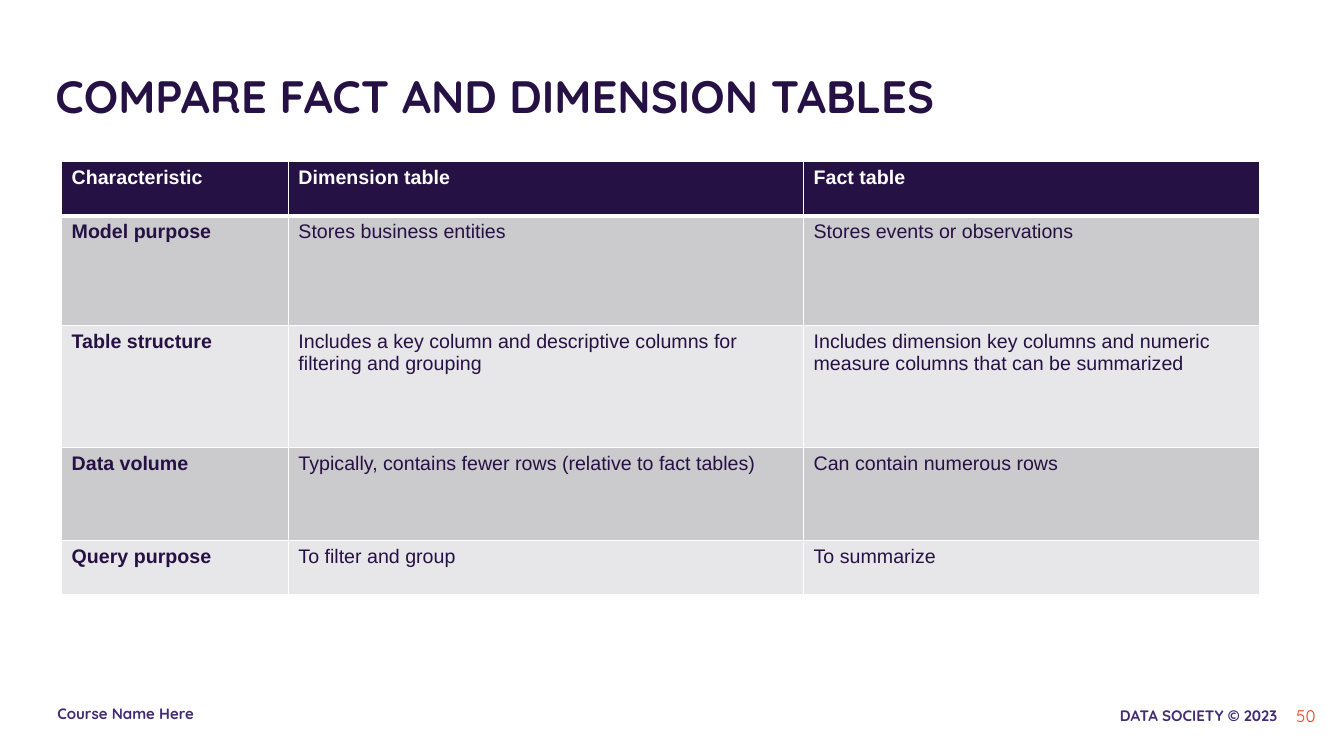
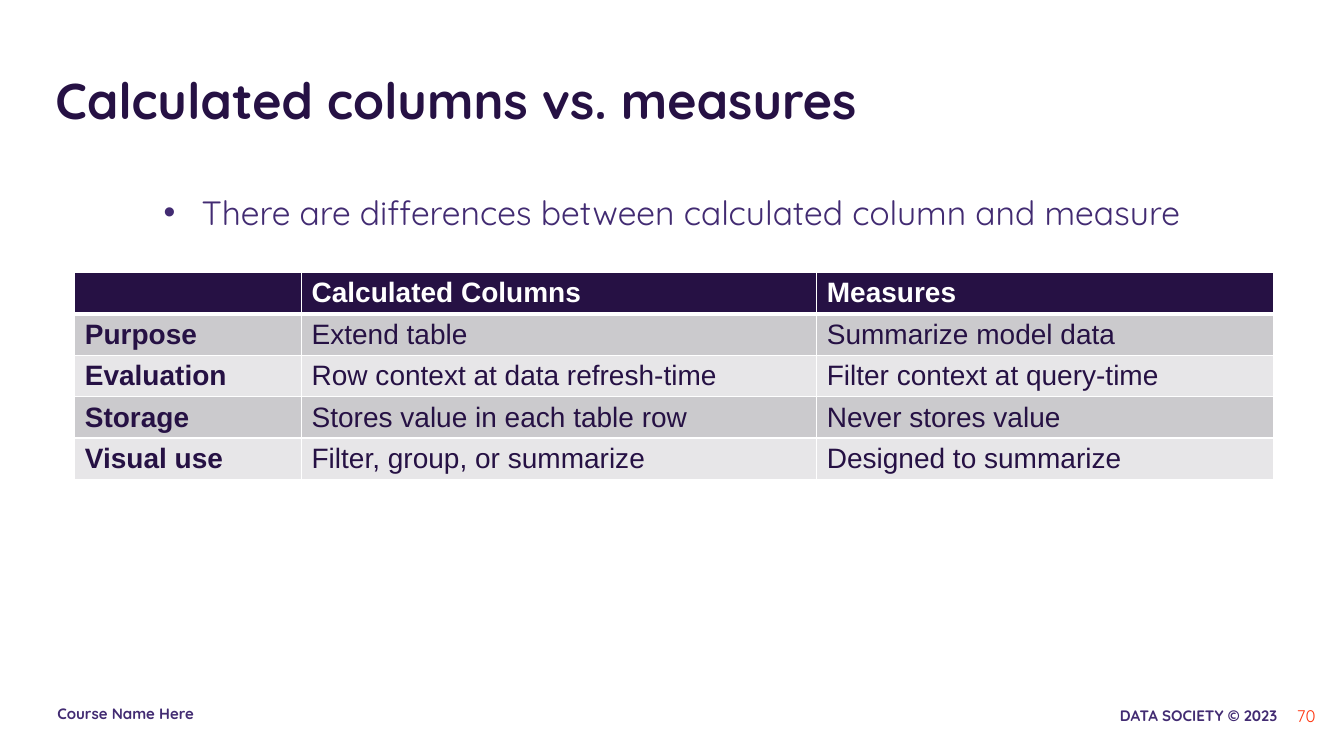
from dataclasses import dataclass

from lxml import etree
from pptx import Presentation
from pptx.dml.color import RGBColor
from pptx.enum.text import MSO_ANCHOR, MSO_AUTO_SIZE, PP_ALIGN
from pptx.oxml.ns import qn
from pptx.util import Pt

LEFT, CENTER, RIGHT = PP_ALIGN.LEFT, PP_ALIGN.CENTER, PP_ALIGN.RIGHT
TOP, MIDDLE = MSO_ANCHOR.TOP, MSO_ANCHOR.MIDDLE
NO_AUTOFIT = MSO_AUTO_SIZE.NONE

# Colours and fonts
WHITE = RGBColor(0xFF, 0xFF, 0xFF)
INK = RGBColor(0x26, 0x11, 0x44)
PURPLE = RGBColor(0x42, 0x2B, 0x72)
ORANGE = RGBColor(0xFF, 0x35, 0x0F)
DARK_BAND = RGBColor(0xCB, 0xCA, 0xCD)
LIGHT_BAND = RGBColor(0xE7, 0xE6, 0xE8)
BRAND_FONT = "Quicksand"
TABLE_FONT = "Arial"

TITLE_ONLY, TITLE_AND_BODY = 5, 1
COLUMN_WIDTHS = (162, 368, 326)
THIN, THICK = 1, 3


@dataclass(frozen=True)
class Area:
    left: float
    top: float
    width: float
    height: float


@dataclass(frozen=True)
class TextStyle:
    size: float
    color: RGBColor
    bold: bool = False
    font: str = BRAND_FONT
    align: PP_ALIGN = LEFT
    anchor: MSO_ANCHOR = TOP
    inset: float = 7.2
    line_spacing: float = 1.0


@dataclass(frozen=True)
class Comparison:
    left: float
    top: float
    text_size: float
    row_heights: tuple[float, ...]
    rows: tuple[tuple[str, str, str], ...]


@dataclass(frozen=True)
class Page:
    number: str
    title: str
    title_size: float
    comparison: Comparison
    subtitle: str = ""


TITLE_AREA = Area(32.4, 41.8, 894.2, 60.5)
SUBTITLE_AREA = Area(37.4, 125.3, 885, 54)
COPYRIGHT_AREA = Area(761, 496, 160, 30.2)
COURSE_AREA = Area(32.4, 494.6, 197.3, 30.2)
NUMBER_AREA = Area(889.2, 496, 57.6, 30.2)

SUBTITLE_STYLE = TextStyle(24, PURPLE, align=CENTER, line_spacing=1.15)
COURSE_STYLE = TextStyle(10.8, PURPLE, bold=True, inset=8.6)
COPYRIGHT_STYLE = TextStyle(10.8, PURPLE, bold=True, align=RIGHT, inset=8.6)
NUMBER_STYLE = TextStyle(12, ORANGE, align=RIGHT, anchor=MIDDLE)

PAGES = (
    Page("50", "COMPARE FACT AND DIMENSION TABLES", 32.4, Comparison(
        44, 115.5, 14, (38.6, 78.5, 87.1, 66.4, 38.6), (
            ("Characteristic", "Dimension table", "Fact table"),
            ("Model purpose", "Stores business entities",
             "Stores events or observations"),
            ("Table structure",
             "Includes a key column and descriptive columns for filtering and grouping",
             "Includes dimension key columns and numeric measure columns that can be summarized"),
            ("Data volume", "Typically, contains fewer rows (relative to fact tables)",
             "Can contain numerous rows"),
            ("Query purpose", "To filter and group", "To summarize"),
        ))),
    Page("70", "Calculated columns vs. measures", 36, Comparison(
        53.4, 194.7, 20, (29.4,) * 5, (
            ("", "Calculated Columns", "Measures"),
            ("Purpose", "Extend table", "Summarize model data"),
            ("Evaluation", "Row context at data refresh-time",
             "Filter context at query-time"),
            ("Storage", "Stores value in each table row", "Never stores value"),
            ("Visual use", "Filter, group, or summarize", "Designed to summarize"),
        )), "There are differences between calculated column and measure"),
)


def format_font(para, size: float, color: RGBColor, bold: bool, name: str) -> None:
    font = para.font
    font.size, font.bold, font.name = Pt(size), bold, name
    font.color.rgb = color


def write_text(box, area: Area, text: str, style: TextStyle) -> None:
    """Place a text box or placeholder and fill it with one paragraph."""
    box.left, box.top = Pt(area.left), Pt(area.top)
    box.width, box.height = Pt(area.width), Pt(area.height)
    frame = box.text_frame
    frame.word_wrap = True
    frame.auto_size = NO_AUTOFIT
    frame.vertical_anchor = style.anchor
    frame.margin_left = frame.margin_right = Pt(style.inset)
    frame.margin_top = frame.margin_bottom = Pt(style.inset)
    frame.text = text
    para = frame.paragraphs[0]
    para.alignment = style.align
    para.line_spacing = style.line_spacing
    para.space_before = Pt(0)
    format_font(para, style.size, style.color, style.bold, style.font)


def remove_bullet(para) -> None:
    properties = para._p.get_or_add_pPr()
    properties.set("marL", "0")
    properties.set("indent", "0")
    etree.SubElement(properties, qn("a:buNone"))


def add_text(slide, area: Area, text: str, style: TextStyle) -> None:
    box = slide.shapes.add_textbox(0, 0, 0, 0)
    write_text(box, area, text, style)


def set_borders(cell, top: float, bottom: float) -> None:
    properties = cell._tc.get_or_add_tcPr()
    widths = {"lnL": THIN, "lnR": THIN, "lnT": top, "lnB": bottom}
    for side, width in widths.items():
        line = etree.SubElement(properties, qn(f"a:{side}"), w=str(Pt(width)))
        fill = etree.SubElement(line, qn("a:solidFill"))
        etree.SubElement(fill, qn("a:srgbClr"), val=str(WHITE))


def add_comparison(slide, comparison: Comparison) -> None:
    """Draw a table with a dark header and alternating bands."""
    frame = slide.shapes.add_table(
        len(comparison.rows), len(COLUMN_WIDTHS),
        Pt(comparison.left), Pt(comparison.top),
        Pt(sum(COLUMN_WIDTHS)), Pt(sum(comparison.row_heights)))
    table = frame.table
    table.horz_banding = False
    for column, width in zip(table.columns, COLUMN_WIDTHS):
        column.width = Pt(width)
    for r, (height, texts) in enumerate(zip(comparison.row_heights, comparison.rows)):
        table.rows[r].height = Pt(height)
        header = r == 0
        band = INK if header else DARK_BAND if r % 2 else LIGHT_BAND
        for c, text in enumerate(texts):
            cell = table.cell(r, c)
            set_borders(cell, THICK if r == 1 else THIN, THICK if header else THIN)
            cell.fill.solid()
            cell.fill.fore_color.rgb = band
            cell.text = text
            format_font(cell.text_frame.paragraphs[0], comparison.text_size,
                        WHITE if header else INK, header or c == 0, TABLE_FONT)


def add_footer(slide, number: str) -> None:
    add_text(slide, COPYRIGHT_AREA, "DATA SOCIETY © 2023", COPYRIGHT_STYLE)
    add_text(slide, COURSE_AREA, "Course Name Here", COURSE_STYLE)
    add_text(slide, NUMBER_AREA, number, NUMBER_STYLE)


def add_page(deck, page: Page) -> None:
    layout = TITLE_AND_BODY if page.subtitle else TITLE_ONLY
    slide = deck.slides.add_slide(deck.slide_layouts[layout])
    add_footer(slide, page.number)
    write_text(slide.shapes.title, TITLE_AREA, page.title,
               TextStyle(page.title_size, INK, bold=True))
    if page.subtitle:
        body = slide.placeholders[1]
        remove_bullet(body.text_frame.paragraphs[0])
        write_text(body, SUBTITLE_AREA, page.subtitle, SUBTITLE_STYLE)
    add_comparison(slide, page.comparison)


def main() -> None:
    deck = Presentation()
    deck.slide_width, deck.slide_height = Pt(960), Pt(540)
    for page in PAGES:
        add_page(deck, page)
    deck.save("out.pptx")


if __name__ == "__main__":
    main()
